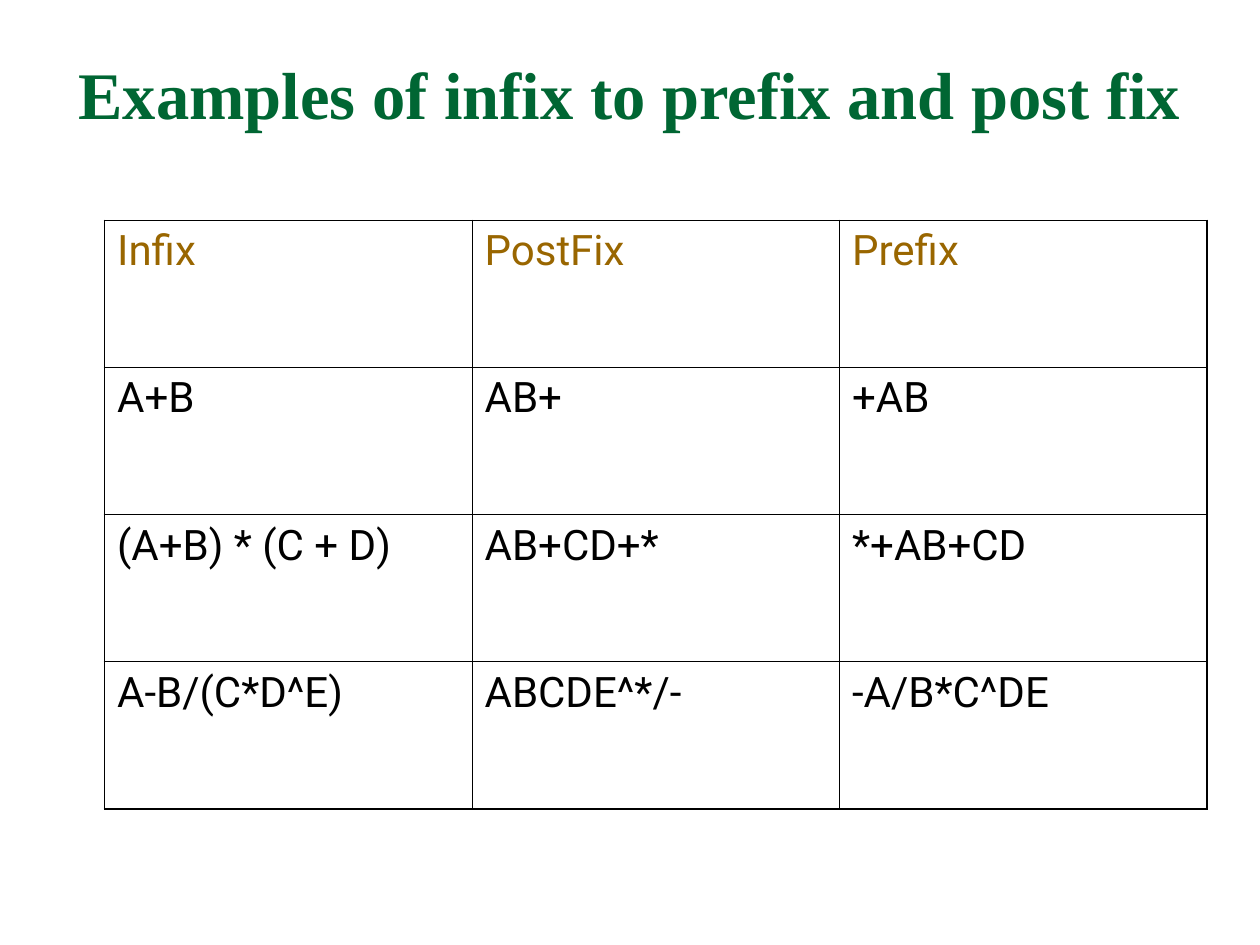
from lxml import etree
from pptx import Presentation
from pptx.dml.color import RGBColor
from pptx.enum.text import MSO_ANCHOR, PP_ALIGN
from pptx.oxml.ns import qn
from pptx.util import Inches, Pt

CENTER = PP_ALIGN.CENTER
TOP = MSO_ANCHOR.TOP

TITLE = "Examples of infix to prefix and post fix"
ROWS = [
    ("Infix", "PostFix", "Prefix"),
    ("A+B", "AB+", "+AB"),
    ("(A+B) * (C + D)", "AB+CD+*", "*+AB+CD"),
    ("A-B/(C*D^E)", "ABCDE^*/-", "-A/B*C^DE"),
]
GREEN, BROWN, BLACK = "006633", "996600", "000000"
THIN, THICK = 0.45, 1.08


def style_font(paragraph, name, size, color, bold=False):
    font = paragraph.runs[0].font
    font.name = name
    font.size = Pt(size)
    font.bold = bold
    font.color.rgb = RGBColor.from_string(color)


def add_title(slide):
    box = slide.shapes.add_textbox(Inches(0.5), Inches(0.3), Inches(9), Inches(1.25))
    frame = box.text_frame
    frame.word_wrap = True
    frame.vertical_anchor = TOP
    frame.margin_left = frame.margin_right = Inches(0.05)
    frame.margin_top = Inches(0.12)
    frame.text = TITLE
    paragraph = frame.paragraphs[0]
    paragraph.alignment = CENTER
    style_font(paragraph, "Times New Roman", 38, GREEN, True)


def set_borders(cell, widths):
    properties = cell._tc.get_or_add_tcPr()
    for index, (side, width) in enumerate(widths.items()):
        line = etree.Element(qn(f"a:{side}"), w=str(Pt(width)))
        fill = etree.SubElement(line, qn("a:solidFill"))
        etree.SubElement(fill, qn("a:srgbClr"), val=BLACK)
        properties.insert(index, line)


def add_notation_table(slide):
    row_count, column_count = len(ROWS), len(ROWS[0])
    frame = slide.shapes.add_table(
        row_count, column_count, Inches(0.83), Inches(1.75), Inches(8.75), Inches(4.67)
    )
    table = frame.table
    table.first_row = False
    table.horz_banding = False
    for row_index, row in enumerate(ROWS):
        for column_index, text in enumerate(row):
            cell = table.cell(row_index, column_index)
            cell.text = text
            cell.vertical_anchor = TOP
            cell.fill.background()
            color = BROWN if row_index == 0 else BLACK
            style_font(cell.text_frame.paragraphs[0], "Roboto", 24, color)
            outer_edges = {
                "lnL": column_index == 0,
                "lnR": column_index == column_count - 1,
                "lnT": row_index == 0,
                "lnB": row_index == row_count - 1,
            }
            set_borders(
                cell,
                {side: THICK if outer else THIN for side, outer in outer_edges.items()},
            )


def main():
    presentation = Presentation()
    presentation.slide_width = Inches(10)
    presentation.slide_height = Inches(7.5)
    slide = presentation.slides.add_slide(presentation.slide_layouts[6])
    add_title(slide)
    add_notation_table(slide)
    presentation.save("out.pptx")


if __name__ == "__main__":
    main()
